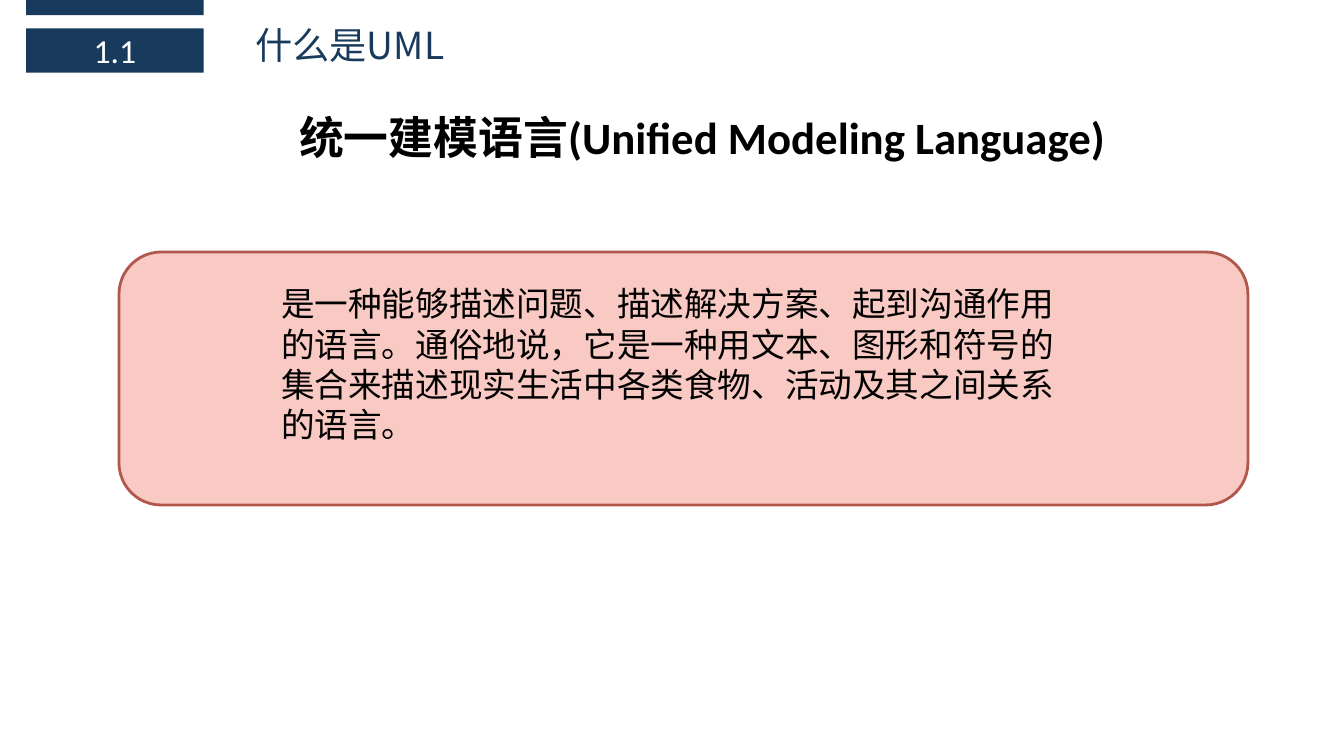
"""Build the slide that explains what UML is."""
from lxml import etree
from pptx import Presentation
from pptx.dml.color import RGBColor
from pptx.enum.shapes import MSO_SHAPE
from pptx.enum.text import MSO_ANCHOR, MSO_AUTO_SIZE, PP_ALIGN
from pptx.oxml.ns import qn
from pptx.util import Pt

RECTANGLE, ROUNDED = MSO_SHAPE.RECTANGLE, MSO_SHAPE.ROUNDED_RECTANGLE
TOP, MIDDLE = MSO_ANCHOR.TOP, MSO_ANCHOR.MIDDLE
LEFT, CENTER = PP_ALIGN.LEFT, PP_ALIGN.CENTER
NO_AUTOSIZE = MSO_AUTO_SIZE.NONE
COLORS = {"navy": "183A5D", "white": "FFFFFF", "black": "000000",
          "pink": "F9C9C3", "brick": "B1584D"}


def write(shape, text, size, color="black", font="Calibri", bold=False,
          align=LEFT, anchor=TOP, indent=0):
    frame = shape.text_frame
    frame.word_wrap = True
    frame.auto_size = NO_AUTOSIZE
    frame.vertical_anchor = anchor
    paragraph = frame.paragraphs[0]
    paragraph.alignment = align
    if indent:
        paragraph._p.get_or_add_pPr().set("marL", str(Pt(indent)))
    run = paragraph.add_run()
    run.text = text
    run.font.name = font
    run.font.size = Pt(size)
    run.font.bold = bold
    run.font.color.rgb = RGBColor.from_string(COLORS[color])
    east_asian = etree.Element(qn("a:ea"), typeface=font)
    run.font._element.find(qn("a:latin")).addnext(east_asian)


def add_block(kind, left, top, width, height, fill, line=None):
    block = slide.shapes.add_shape(kind, Pt(left), Pt(top), Pt(width), Pt(height))
    block.shadow.inherit = False
    block.fill.solid()
    block.fill.fore_color.rgb = RGBColor.from_string(COLORS[fill])
    if line:
        block.line.color.rgb = RGBColor.from_string(COLORS[line])
        block.line.width = Pt(2)
    else:
        block.line.fill.background()
    return block


presentation = Presentation()
presentation.slide_width, presentation.slide_height = Pt(960), Pt(540)
slide = presentation.slides.add_slide(presentation.slide_layouts[5])

add_block(RECTANGLE, 18.7, 0, 126.7, 10.8, "navy")
section = add_block(RECTANGLE, 18.7, 20.2, 126.7, 31.7, "navy")
write(section, "1.1", 24, "white", align=CENTER, anchor=MIDDLE)

topic = slide.shapes.title
topic.left, topic.top, topic.width, topic.height = Pt(175), Pt(12.2), Pt(476.6), Pt(39.6)
write(topic, "什么是UML", 26.6, "navy", "Noto Sans CJK SC", anchor=MIDDLE)

full_name = slide.shapes.add_textbox(Pt(163.4), Pt(74.9), Pt(633.6), Pt(46.1))
write(full_name, "统一建模语言(Unified Modeling Language)", 32, bold=True, indent=43.2)

add_block(ROUNDED, 85, 180, 806.4, 180.7, "pink", "brick")
definition = slide.shapes.add_textbox(Pt(193.7), Pt(198.7), Pt(589.7), Pt(123.8))
write(definition, "是一种能够描述问题、描述解决方案、起到沟通作用的语言。通俗地说，"
      "它是一种用文本、图形和符号的集合来描述现实生活中各类食物、活动及其之间关系的语言。", 24)

presentation.save("out.pptx")
